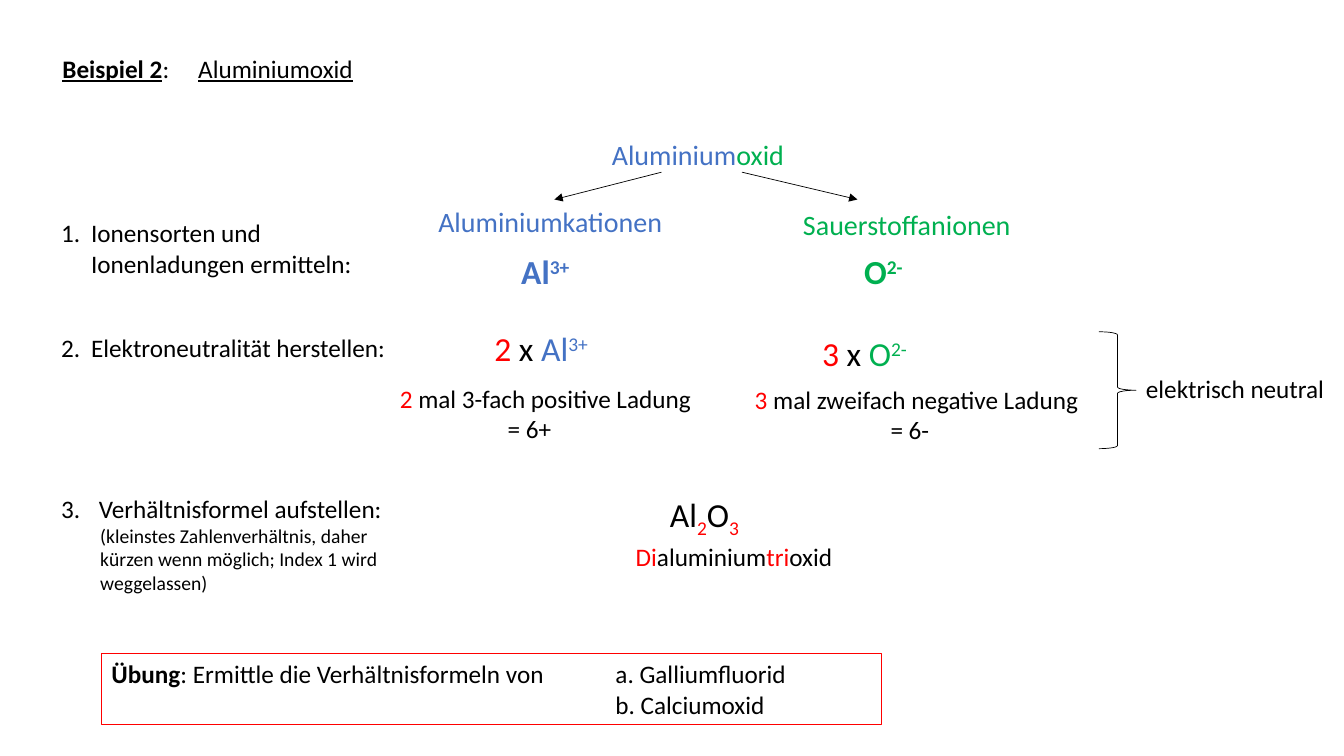
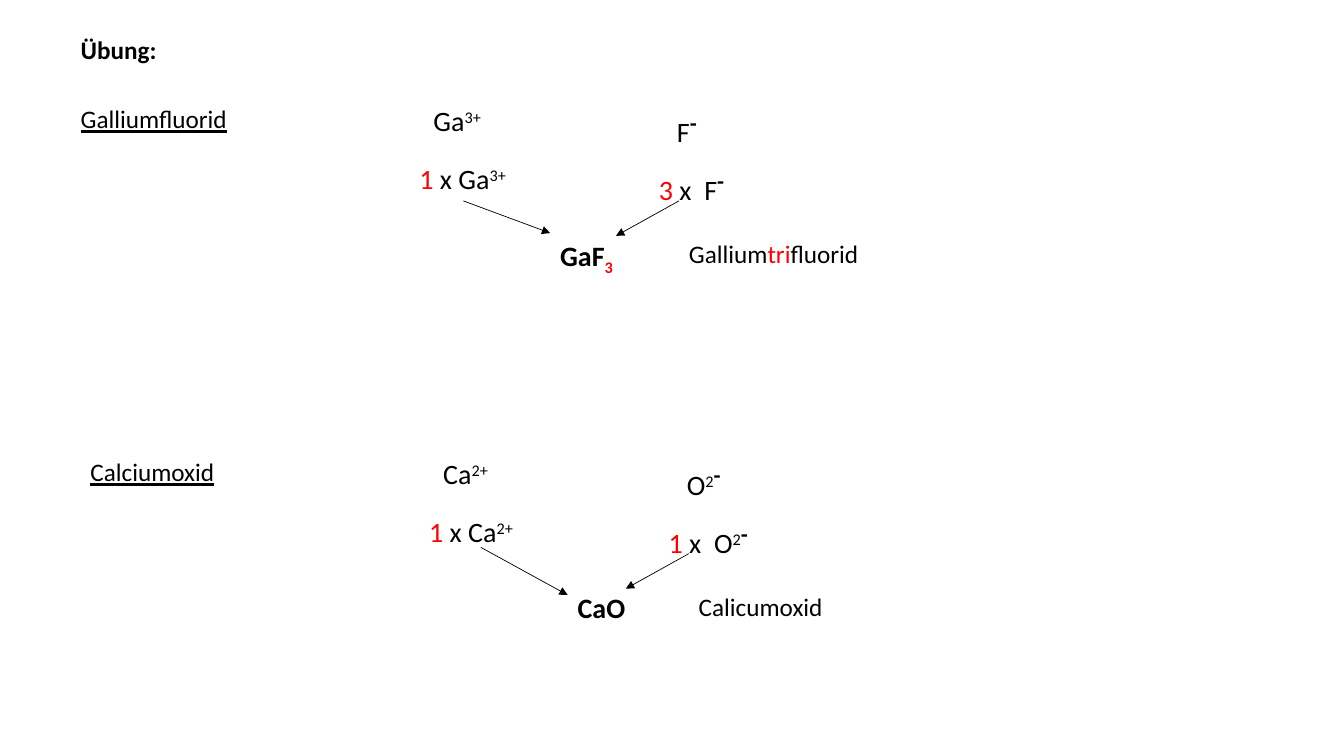
import pptx
import pptx.util
import pptx.dml.color
import pptx.enum.shapes
import pptx.enum.text
import pptx.oxml.ns
import lxml.etree

Pt = pptx.util.Pt
SHAPES = pptx.enum.shapes.MSO_SHAPE
CENTER = pptx.enum.text.PP_ALIGN.CENTER
colour = pptx.dml.color.RGBColor.from_string

# Shared look
FONT = "Calibri"
BLACK, RED, BLUE, GREEN = "000000", "FF0000", "4472C4", "00B050"
BASELINES = {"super": "30000", "sub": "-25000"}
MINUS = ("-", "super", "bold", "large")


def add_box(page, left, top, width, height):
    box = page.shapes.add_textbox(Pt(left), Pt(top), Pt(width), Pt(height))
    box.text_frame.word_wrap = True
    box.text_frame.auto_size = pptx.enum.text.MSO_AUTO_SIZE.SHAPE_TO_FIT_TEXT
    return box


def write(box, spans, size=18, align=None, indent=None, number=None):
    """Add one paragraph; each span is a text followed by its marks."""
    frame = box.text_frame
    para = frame.add_paragraph() if frame.text else frame.paragraphs[0]
    para.alignment = align
    properties = para._p.get_or_add_pPr()
    if indent:
        properties.set("marL", str(Pt(indent[0])))
        properties.set("indent", str(Pt(indent[1])))
    if number:
        lxml.etree.SubElement(properties, pptx.oxml.ns.qn("a:buAutoNum"),
                              type="arabicPeriod", startAt=str(number))
    para.font.name = FONT
    para.font.size = Pt(size)
    para.font.color.rgb = colour(BLACK)
    for text, *marks in spans:
        span = para.add_run()
        span.text = text
        for mark in marks:
            if mark == "bold":
                span.font.bold = True
            elif mark == "underline":
                span.font.underline = True
            elif mark == "large":
                span.font.size = Pt(28)
            elif mark in BASELINES:
                span._r.get_or_add_rPr().set("baseline", BASELINES[mark])
            else:
                span.font.color.rgb = colour(mark)


deck = pptx.Presentation()
deck.slide_width, deck.slide_height = Pt(960), Pt(540)
example, exercise = [deck.slides.add_slide(deck.slide_layouts[6]) for _ in range(2)]

# Example: heading
write(add_box(example, 37.5, 34.5, 492, 29),
      [("Beispiel 2", "bold", "underline"), (":\t",), ("Aluminiumoxid", "underline")],
      indent=(97, -97))

# Example: compound, ions and formula
centred_texts = [
    (420, 94.5, 157, 20, [("Aluminium", BLUE), ("oxid", GREEN)]),
    (351.5, 175.5, 76, 24, [("Al", BLUE, "bold"), ("3+", BLUE, "bold", "super")]),
    (599, 175.5, 64, 24, [("O", GREEN, "bold"), ("2-", GREEN, "bold", "super")]),
    (338.5, 231, 96, 24, [("2 ", RED), ("x",), (" Al", BLUE), ("3+", BLUE, "super")]),
    (569.5, 234, 96, 24, [("3 ", RED), ("x",), (" O", GREEN), ("2-", GREEN, "super")]),
    (407.5, 349, 191.5, 24, [("Al",), ("2", RED, "sub"), ("O",), ("3", RED, "sub")]),
]
for left, top, width, size, spans in centred_texts:
    write(add_box(example, left, top, width, size * 1.5), spans, size, CENTER)

# Example: ion names, neutrality and compound name
left_texts = [
    (306, 142.5, 179.5, 20, [("Aluminiumkationen", BLUE)]),
    (566.5, 144.5, 166, 20, [("Sauerstoffanionen", GREEN)]),
    (811.5, 263, 158.5, 18, [("elektrisch neutral",)]),
    (447, 383, 166, 18, [("Di", RED), ("aluminium",), ("tri", RED), ("oxid",)]),
]
for left, top, width, size, spans in left_texts:
    write(add_box(example, left, top, width, size * 1.6), spans, size)

# Example: charge sums
charges = [
    (278.5, 270, 245.5, "2", " mal 3-fach positive Ladung", "= 6+", 77),
    (532, 271, 262, "3", " mal zweifach negative Ladung", "= 6-", 97),
]
for left, top, width, count, sentence, total, total_indent in charges:
    box = add_box(example, left, top, width, 51)
    write(box, [(count, RED), (sentence,)])
    write(box, [(total,)], indent=(total_indent, 0))

# Example: numbered steps
steps = [
    (152, 21.5, "Ionensorten und Ionenladungen ermitteln:"),
    (234, 21.5, "Elektroneutralität herstellen:"),
    (349, 27, "Verhältnisformel aufstellen:"),
]
for number, (top, hanging, step) in enumerate(steps, 1):
    box = add_box(example, 36.5, top, 267, 29)
    write(box, [(step,)], indent=(hanging, -hanging), number=number)
write(box, [("(kleinstes Zahlenverhältnis, daher kürzen wenn möglich; "
             "Index 1 wird weggelassen)",)], 14, indent=(28, 0))

# Example: brace and task frame
brace = example.shapes.add_shape(SHAPES.RIGHT_BRACE, Pt(785), Pt(237), Pt(26.5), Pt(83.5))
task = example.shapes.add_shape(SHAPES.RECTANGLE, Pt(72.5), Pt(466.5), Pt(557.5), Pt(51))
for shape, line_colour, weight in [(brace, BLACK, 0.5), (task, RED, 0.75)]:
    shape.shadow.inherit = False
    shape.fill.background()
    shape.line.color.rgb = colour(line_colour)
    shape.line.width = Pt(weight)
LEFT = pptx.enum.text.PP_ALIGN.LEFT
write(task, [("Übung", "bold"), (": Ermittle die Verhältnisformeln von \ta. Galliumfluorid",)],
      align=LEFT, indent=(360, -360))
write(task, [("b. Calciumoxid",)], align=LEFT, indent=(360, 0))

# Exercise: heading
write(add_box(exercise, 50.5, 21, 98.5, 29), [("Übung:", "bold")])

# Exercise: one block per compound, the second moved by (right, down)
compounds = [
    (0, 0, "Galliumfluorid", "1", "Ga", "3+", "3", "F", [], 393,
     [("GaF", "bold"), ("3", RED, "bold", "sub")],
     [("Gallium",), ("tri", RED), ("fluorid",)]),
    (7, 252, "Calciumoxid", "1", "Ca", "2+", "1", "O", [("2", "super")], 405.5,
     [("CaO", "bold")], [("Calicumoxid",)]),
]
for (right, down, compound, cations, metal, charge, anions, nonmetal, anion_charge,
     formula_left, formula, product) in compounds:
    cation_charge = (charge, "super")
    anion_end = [*anion_charge, MINUS]
    texts = [
        (50.5, 70.5, 207, 18, [(compound, "underline")], None),
        (302.5, 70.5, 58.5, 20, [(metal,), cation_charge], None),
        (476.5, 70.5, 58.5, 20, [(nonmetal,), *anion_end], None),
        (292.5, 112, 78.5, 20, [(cations, RED), (" x " + metal,), cation_charge], None),
        (463.5, 112, 83.5, 20, [(anions, RED), (" x\t" + nonmetal,), *anion_end],
         (32.5, -32.5)),
        (formula_left - right, 166.5, 65, 20, formula, None),
        (485, 166.5, 205, 18, product, None),
    ]
    for left, top, width, size, spans, indent in texts:
        box = add_box(exercise, left + right, top + down, width, size * 1.6)
        write(box, spans, size, indent=indent)

# Arrows on both slides
arrows = [
    (example, 472.5, 123, 396, 142.5),
    (example, 530, 123, 612.5, 142.5),
    (exercise, 331, 143.5, 393, 166.5),
    (exercise, 485, 143.5, 440, 168.5),
    (exercise, 343.5, 391, 405.5, 425),
    (exercise, 492, 395.5, 447, 420.5),
]
for page, *ends in arrows:
    arrow = page.shapes.add_connector(pptx.enum.shapes.MSO_CONNECTOR.STRAIGHT,
                                      *[Pt(end) for end in ends])
    arrow.line.color.rgb = colour(BLACK)
    arrow.line.width = Pt(0.5)
    lxml.etree.SubElement(arrow.line._get_or_add_ln(), pptx.oxml.ns.qn("a:tailEnd"),
                          type="triangle")
    lxml.etree.SubElement(arrow._element.spPr, pptx.oxml.ns.qn("a:effectLst"))

deck.save("out.pptx")
